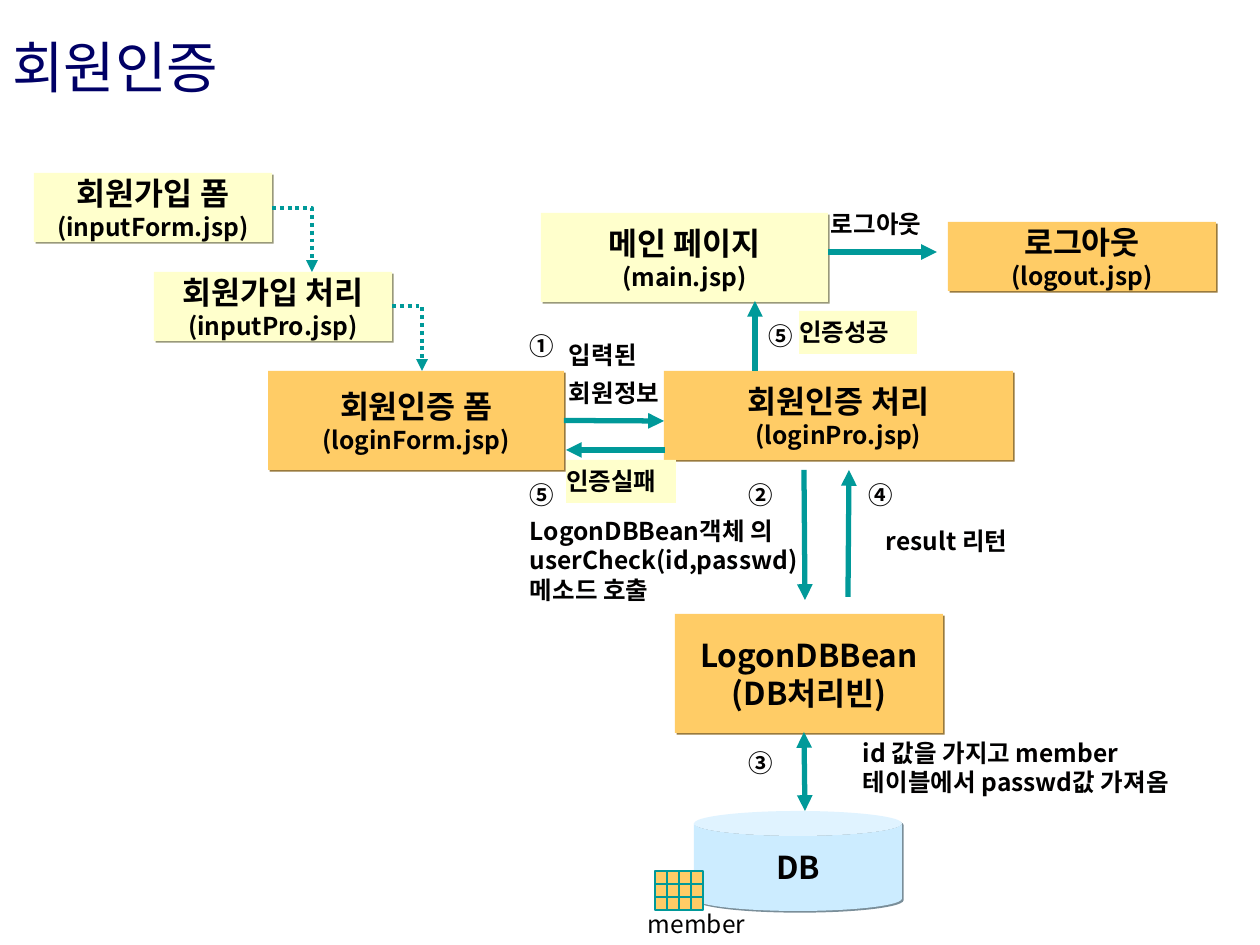
from lxml.etree import SubElement
from pptx import Presentation
from pptx.dml.color import RGBColor
from pptx.enum.dml import MSO_LINE
from pptx.enum.shapes import MSO_CONNECTOR, MSO_SHAPE
from pptx.enum.text import MSO_ANCHOR, MSO_AUTO_SIZE, PP_ALIGN
from pptx.oxml.ns import qn
from pptx.util import Pt

PX = 914400 / 126
FONT = "Noto Sans CJK KR"
COLORS = {"cream": "FFFFCC", "orange": "FFCC66", "blue": "CCECFF",
          "teal": "009999", "ink": "010000", "navy": "000066"}
SHADES = {"cream": "99997A", "orange": "997A3D", "blue": "7A8E99"}

# fill, place, lines of (text, size)
BOXES = {
    "join": ("cream", (34, 173, 238, 69), [("회원가입 폼", 18), ("(inputForm.jsp)", 14)]),
    "save": ("cream", (154, 272, 238, 69), [("회원가입 처리", 18), ("(inputPro.jsp)", 14)]),
    "login": ("orange", (268, 371, 296, 99), [("회원인증 폼", 18), ("(loginForm.jsp)", 14)]),
    "check": ("orange", (664, 371, 349, 89), [("회원인증 처리", 18), ("(loginPro.jsp)", 14)]),
    "main": ("cream", (541, 213, 287, 89), [("메인 페이지", 18), ("(main.jsp)", 14)]),
    "logout": ("orange", (948, 222, 268, 69), [("로그아웃", 18), ("(logout.jsp)", 14)]),
    "bean": ("orange", (675, 614, 268, 119), [("LogonDBBean", 18), ("(DB처리빈)", 18)]),
    "store": ("blue", (694, 811, 208, 100), [("DB", 18)]),
}
# from, to, box joined at its right side, both ends pointed
ARROWS = [
    ((564, 421), (664, 421), "login", False),
    ((804, 470), (805, 600), None, False),
    ((805, 811), (804, 732), None, True),
    ((828, 252), (937, 252), None, False),
    ((848, 597), (849, 470), None, False),
    ((755, 371), (755, 301), None, False),
    ((665, 450), (566, 450), None, False),
]
BENDS = [((272, 208), (312, 272)), ((392, 306), (422, 371))]
# place, paragraphs, format values
LABELS = [
    ((517, 510, 297, 101), ["LogonDBBean객체 의 userCheck(id,passwd)메소드 호출"], {}),
    ((635, 903, 129, 43), ["member"], {"bold": False}),
    ((556, 341, 139, 72), ["입력된", "회원정보"], {"space": 0.75}),
    ((863, 732, 328, 72), ["id 값을 가지고 member 테이블에서 passwd값 가져옴"], {"side": 0}),
    ((873, 520, 149, 72), ["result 리턴"], {}),
    ((799, 311, 118, 43), ["인증성공"], {"side": 0, "fill": "cream"}),
    ((566, 460, 110, 43), ["인증실패"], {"side": 0, "fill": "cream"}),
    ((818, 203, 149, 43), ["로그아웃"], {}),
]
MARKS = [("①", 530, 331), ("②", 748, 480), ("③", 748, 748),
         ("④", 868, 480), ("⑤", 769, 321), ("⑤", 530, 480)]
GRID = {"left": 655, "top": 871, "cols": 4, "rows": 3, "wide": 12, "high": 13}


def emu(*nums):
    return [round(n * PX) for n in nums]


def rgb(name):
    return RGBColor.from_string(COLORS[name])


def put(obj, vals):
    for key, val in vals.items():
        setattr(obj, key, val)


def write(shape, lines, frame, para, bold=True, color="ink"):
    """Fill a shape with (text, size) lines, one paragraph each."""
    box = shape.text_frame
    put(box, frame)
    for i, (text, size) in enumerate(lines):
        par = box.paragraphs[0] if i == 0 else box.add_paragraph()
        put(par, para)
        if i and "line_spacing" in para:
            par.space_before = Pt(8.8)
        run = par.add_run()
        run.text = text
        put(run.font, {"name": FONT, "size": Pt(size), "bold": bold})
        run.font.color.rgb = rgb(color)
        SubElement(run.font._element, qn("a:ea"), typeface=FONT)


def block(slide, kind, place, fill):
    shape = slide.shapes.add_shape(kind, *emu(*place))
    shape.shadow.inherit = False
    shape.fill.solid()
    shape.fill.fore_color.rgb = rgb(fill)
    shape.line.fill.background()
    return shape


def shade(shape, fill):
    effect = shape._element.spPr.find(qn("a:effectLst"))
    drop = SubElement(effect, qn("a:outerShdw"), blurRad="0", dist="17780",
                      dir="2700000", algn="ctr", rotWithShape="0")
    SubElement(drop, qn("a:srgbClr"), val=SHADES[fill])


def card(slide, fill, place, lines):
    kind = MSO_SHAPE.CAN if fill == "blue" else MSO_SHAPE.RECTANGLE
    shape = block(slide, kind, place, fill)
    shade(shape, fill)
    write(shape, lines,
          {"word_wrap": False, "vertical_anchor": MSO_ANCHOR.MIDDLE},
          {"alignment": PP_ALIGN.CENTER})
    return shape


def link(slide, start, end, kind=MSO_CONNECTOR.STRAIGHT, width=3, both=False):
    line = slide.shapes.add_connector(kind, *emu(*start, *end))
    line.line.color.rgb = rgb("teal")
    line.line.width = Pt(width)
    if kind == MSO_CONNECTOR.ELBOW:
        line.line.dash_style = MSO_LINE.ROUND_DOT
        line._element.spPr.find(qn("a:prstGeom")).set("prst", "bentConnector2")
    pen = line.line._get_or_add_ln()
    for tag in ["a:headEnd", "a:tailEnd"] if both else ["a:tailEnd"]:
        SubElement(pen, qn(tag), type="triangle")
    SubElement(line._element.spPr, qn("a:effectLst"))
    return line


def label(slide, place, texts, side=13, edge=6, space=1.0, fill=None, bold=True):
    if fill:
        shape = block(slide, MSO_SHAPE.RECTANGLE, place, fill)
    else:
        shape = slide.shapes.add_textbox(*emu(*place))
    side, edge = emu(side, edge)
    frame = {"margin_left": side, "margin_right": side, "margin_top": edge,
             "margin_bottom": edge, "word_wrap": True,
             "vertical_anchor": MSO_ANCHOR.TOP,
             "auto_size": MSO_AUTO_SIZE.SHAPE_TO_FIT_TEXT}
    write(shape, [(text, 14) for text in texts], frame,
          {"alignment": PP_ALIGN.LEFT, "line_spacing": space}, bold)


def grid(slide, left, top, cols, rows, wide, high):
    for i in range(rows * cols):
        row, col = divmod(i, cols)
        place = (left + col * wide, top + row * high, wide, high)
        cell = block(slide, MSO_SHAPE.RECTANGLE, place, "orange")
        cell.line.color.rgb = rgb("teal")
        cell.line.width = Pt(0.75)


def main():
    deck = Presentation()
    deck.slide_width, deck.slide_height = emu(1260, 945)
    slide = deck.slides.add_slide(deck.slide_layouts[6])

    cards = {name: card(slide, *box) for name, box in BOXES.items()}
    for start, end, name, both in ARROWS:
        line = link(slide, start, end, both=both)
        if name:
            line.begin_connect(cards[name], 3)
    for start, end in BENDS:
        link(slide, start, end, MSO_CONNECTOR.ELBOW, 2.25)
    grid(slide, **GRID)
    for place, texts, style in LABELS:
        label(slide, place, texts, **style)
    for mark, left, top in MARKS:
        label(slide, (left, top, 30, 29), [mark], side=0, edge=0)

    title = slide.shapes.add_textbox(*emu(0, 0, 496, 149))
    write(title, [("회원인증", 32)],
          {"word_wrap": True, "vertical_anchor": MSO_ANCHOR.MIDDLE},
          {"line_spacing": 0.7}, bold=False, color="navy")
    deck.save("out.pptx")


if __name__ == "__main__":
    main()
